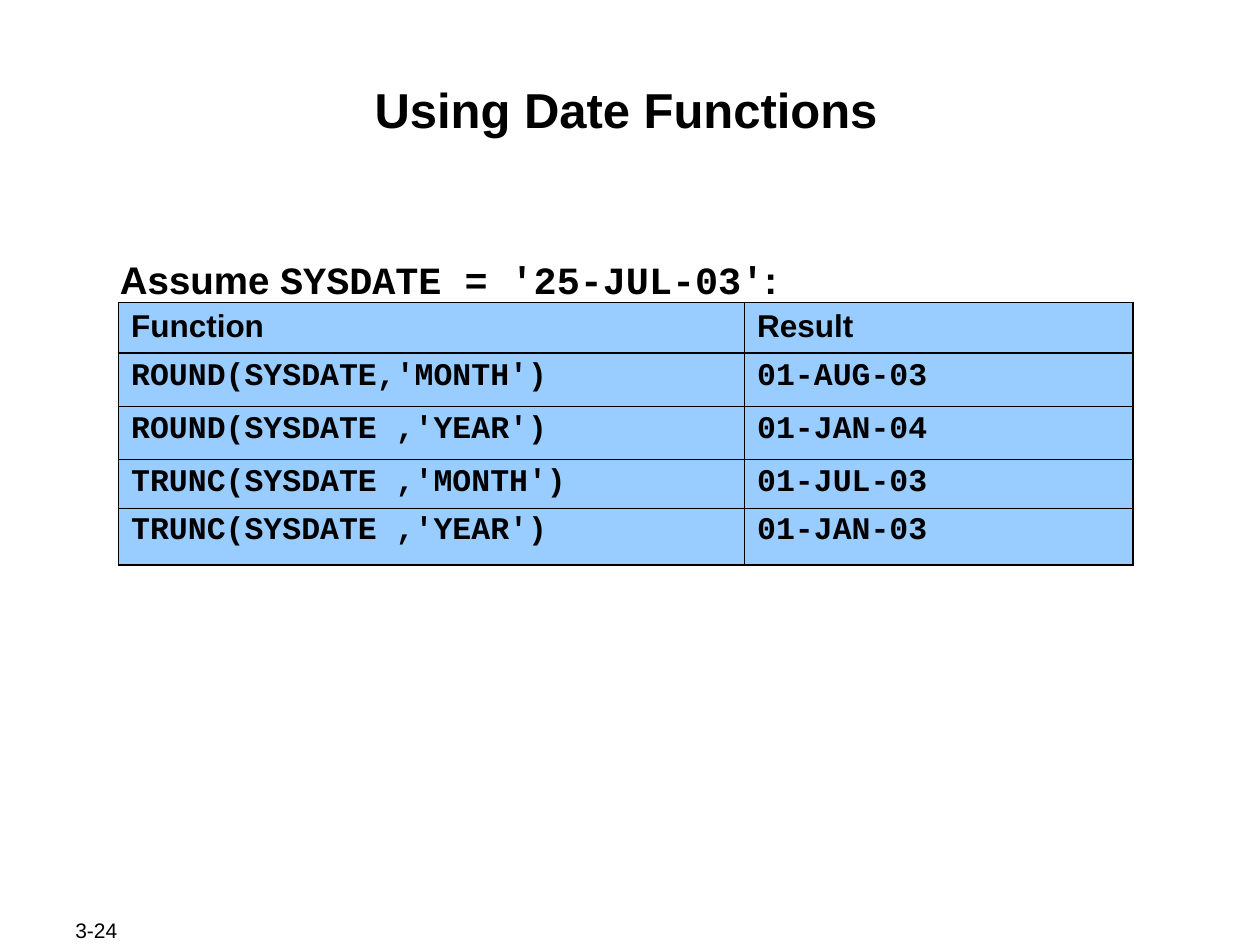
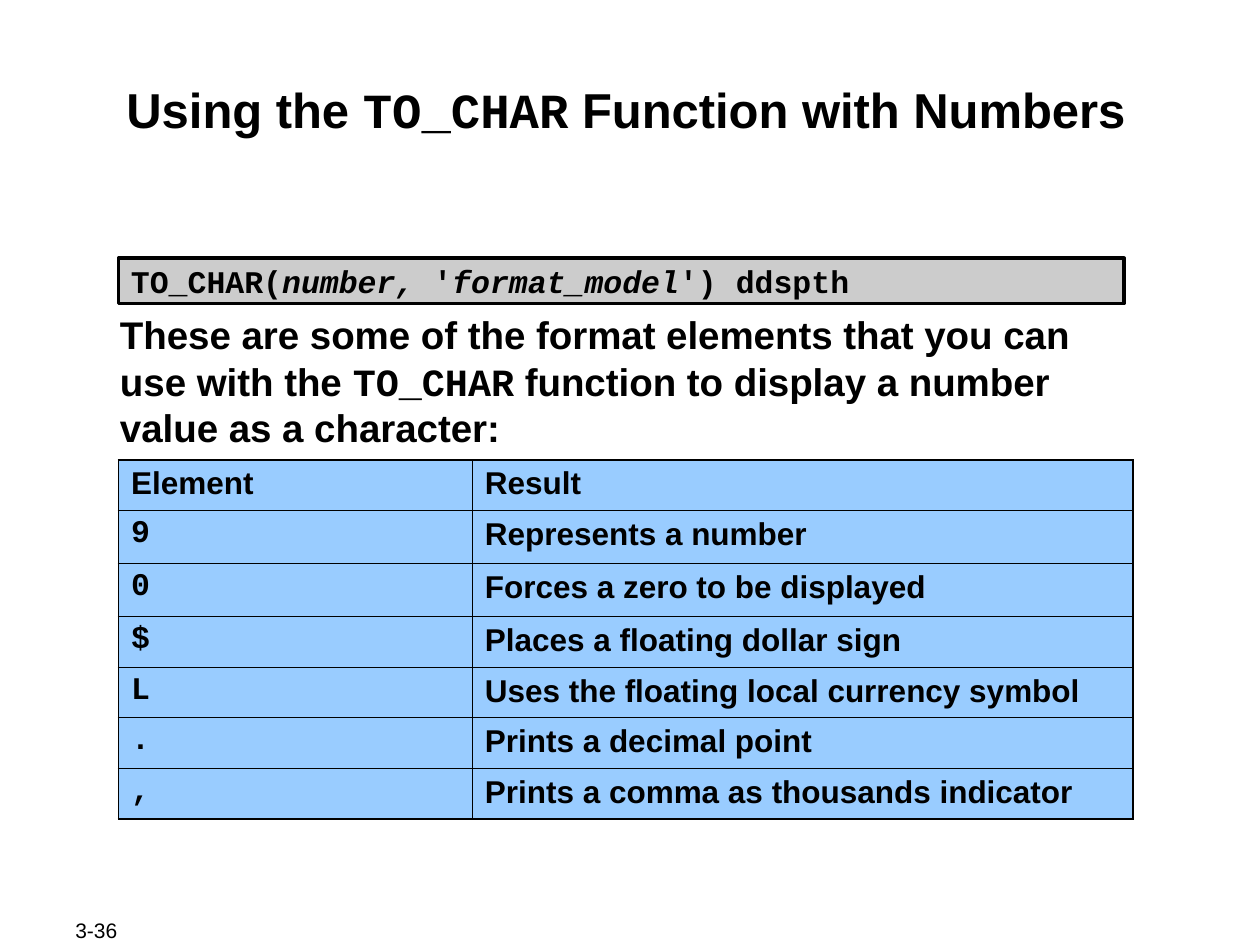
from dataclasses import dataclass

from lxml.etree import SubElement
from pptx import Presentation
from pptx.dml.color import RGBColor
from pptx.enum.shapes import MSO_SHAPE as Shape
from pptx.enum.text import MSO_ANCHOR as Anchor, MSO_AUTO_SIZE as AutoSize, PP_ALIGN as Align
from pptx.oxml.ns import qn
from pptx.util import Cm, Pt

PLAIN, CODE, CODE_ITALIC = "plain", "code", "code italic"

SLIDES = [
    {
        "number": "3-24",
        "title": [("Using Date Functions", PLAIN)],
        "intro": {
            "top": 5.13, "height": 0.91, "line_spacing": 0.9,
            "runs": [("Assume ", PLAIN), ("SYSDATE = '25-JUL-03'", CODE), (":", PLAIN)],
        },
        "table": {
            "top": 6.1,
            "columns": [12.62, 7.83],
            "row_heights": [1.02, 1.07, 1.07, 0.98, 1.15],
            "column_styles": [CODE, CODE],
            "rows": [
                ("Function", "Result"),
                ("ROUND(SYSDATE,'MONTH')", "01-AUG-03"),
                ("ROUND(SYSDATE ,'YEAR')", "01-JAN-04"),
                ("TRUNC(SYSDATE ,'MONTH')", "01-JUL-03"),
                ("TRUNC(SYSDATE ,'YEAR')", "01-JAN-03"),
            ],
        },
    },
    {
        "number": "3-36",
        "title": [("Using the ", PLAIN), ("TO_CHAR", CODE), (" Function with Numbers", PLAIN)],
        "syntax": [
            ("TO_CHAR(", CODE), ("number, ", CODE_ITALIC), ("'", CODE),
            ("format_model", CODE_ITALIC), ("') ddspth", CODE),
        ],
        "intro": {
            "top": 6.15, "height": 2.9, "line_spacing": 1.0,
            "runs": [
                ("These are some of the format elements that you can use with the ", PLAIN),
                ("TO_CHAR", CODE),
                (" function to display a number value as a character:", PLAIN),
            ],
        },
        "table": {
            "top": 9.27,
            "columns": [7.13, 13.32],
            "row_heights": [1.02, 1.07, 1.07, 1.02, 1.02, 1.02, 1.02],
            "column_styles": [CODE, PLAIN],
            "rows": [
                ("Element", "Result"),
                ("9", "Represents a number"),
                ("0", "Forces a zero to be displayed"),
                ("$", "Places a floating dollar sign"),
                ("L", "Uses the floating local currency symbol"),
                (".", "Prints a decimal point"),
                (",", "Prints a comma as thousands indicator"),
            ],
        },
    },
]


@dataclass(frozen=True)
class Theme:
    ink: str = "000000"
    table_fill: str = "99CCFF"
    syntax_fill: str = "CCCCCC"
    text_font: str = "Arial"
    code_font: str = "Courier New"
    title_size: float = 28
    intro_size: float = 22
    body_size: float = 18
    number_size: float = 12
    outer_border: float = 1.08
    inner_border: float = 0.45
    syntax_border: float = 2.25


THEME = Theme()
INK = RGBColor.from_string(THEME.ink)
LEFT = Cm(2.39)

FONTS = {
    PLAIN: {"name": THEME.text_font, "italic": False},
    CODE: {"name": THEME.code_font, "italic": False},
    CODE_ITALIC: {"name": THEME.code_font, "italic": True},
}
TIGHT_FRAME = {
    "margin_left": Cm(0.03), "margin_right": Cm(0.03),
    "margin_top": Cm(0.13), "margin_bottom": Cm(0.03),
    "word_wrap": True, "auto_size": AutoSize.NONE, "vertical_anchor": Anchor.TOP,
}
CENTRED_FRAME = {
    "margin_top": 0, "margin_bottom": 0,
    "word_wrap": True, "vertical_anchor": Anchor.MIDDLE,
}


def apply(target, formats):
    for name, value in formats.items():
        setattr(target, name, value)


def write(text_frame, runs, size, bold=True, **paragraph_formats):
    paragraph = text_frame.paragraphs[0]
    apply(paragraph, {"alignment": Align.LEFT, **paragraph_formats})
    for text, style in runs:
        run = paragraph.add_run()
        run.text = text
        apply(run.font, {"size": Pt(size), "bold": bold, **FONTS[style]})
        run.font.color.rgb = INK


def add_title(slide, runs):
    title = slide.shapes.title
    apply(title, {"left": Cm(2.46), "top": Cm(1.47), "width": Cm(20.32), "height": Cm(2.44)})
    apply(title.text_frame, TIGHT_FRAME)
    write(title.text_frame, runs, THEME.title_size, alignment=Align.CENTER)


def add_intro(slide, intro):
    box = slide.shapes.add_textbox(LEFT, Cm(intro["top"]), Cm(20.47), Cm(intro["height"]))
    apply(box.text_frame, TIGHT_FRAME)
    write(box.text_frame, intro["runs"], THEME.intro_size, line_spacing=intro["line_spacing"])


def add_syntax(slide, runs):
    box = slide.shapes.add_shape(Shape.RECTANGLE, LEFT, Cm(5.21), Cm(20.27), Cm(0.91))
    box.shadow.inherit = False
    box.fill.solid()
    box.fill.fore_color.rgb = RGBColor.from_string(THEME.syntax_fill)
    box.line.color.rgb = INK
    box.line.width = Pt(THEME.syntax_border)
    apply(box.text_frame, {"vertical_anchor": Anchor.MIDDLE, "word_wrap": True})
    write(box.text_frame, runs, THEME.body_size)


def add_number(slide, number):
    box = slide.shapes.add_textbox(Cm(1.27), Cm(18.49), Cm(2.69), Cm(0.51))
    apply(box.text_frame, CENTRED_FRAME)
    write(box.text_frame, [(number, PLAIN)], THEME.number_size, bold=False)


def set_borders(cell, heavy_sides):
    """Draw all four sides, the heavy ones with the outer border width."""
    properties = cell._tc.get_or_add_tcPr()
    for side in "LRTB":
        width = THEME.outer_border if side in heavy_sides else THEME.inner_border
        line = SubElement(properties, qn(f"a:ln{side}"), w=str(Pt(width)))
        SubElement(SubElement(line, qn("a:solidFill")), qn("a:srgbClr"), val=THEME.ink)


def find_heavy_sides(row, column, last_row, last_column):
    """Outer edges are heavy, and so is the line under the header row."""
    tests = {
        "L": column == 0,
        "R": column == last_column,
        "T": row in (0, 1),
        "B": row in (0, last_row),
    }
    return [side for side, heavy in tests.items() if heavy]


def add_table(slide, content):
    rows, widths, heights = content["rows"], content["columns"], content["row_heights"]
    table = slide.shapes.add_table(
        len(rows), len(widths), LEFT, Cm(content["top"]), Cm(sum(widths)), Cm(sum(heights))
    ).table
    for column, width in zip(table.columns, widths):
        column.width = Cm(width)
    for row, height in zip(table.rows, heights):
        row.height = Cm(height)
    for row_index, texts in enumerate(rows):
        for column_index, text in enumerate(texts):
            cell = table.cell(row_index, column_index)
            sides = find_heavy_sides(row_index, column_index, len(rows) - 1, len(widths) - 1)
            set_borders(cell, sides)
            cell.fill.solid()
            cell.fill.fore_color.rgb = RGBColor.from_string(THEME.table_fill)
            style = content["column_styles"][column_index] if row_index else PLAIN
            spacing = 0.9 if style == CODE else 1.0
            write(cell.text_frame, [(text, style)], THEME.body_size, line_spacing=spacing)


def main():
    presentation = Presentation()
    apply(presentation, {"slide_width": Cm(25.4), "slide_height": Cm(19.05)})
    title_only = presentation.slide_layouts[5]
    for content in SLIDES:
        slide = presentation.slides.add_slide(title_only)
        add_number(slide, content["number"])
        add_title(slide, content["title"])
        add_intro(slide, content["intro"])
        add_table(slide, content["table"])
        if "syntax" in content:
            add_syntax(slide, content["syntax"])
    presentation.save("out.pptx")


if __name__ == "__main__":
    main()
